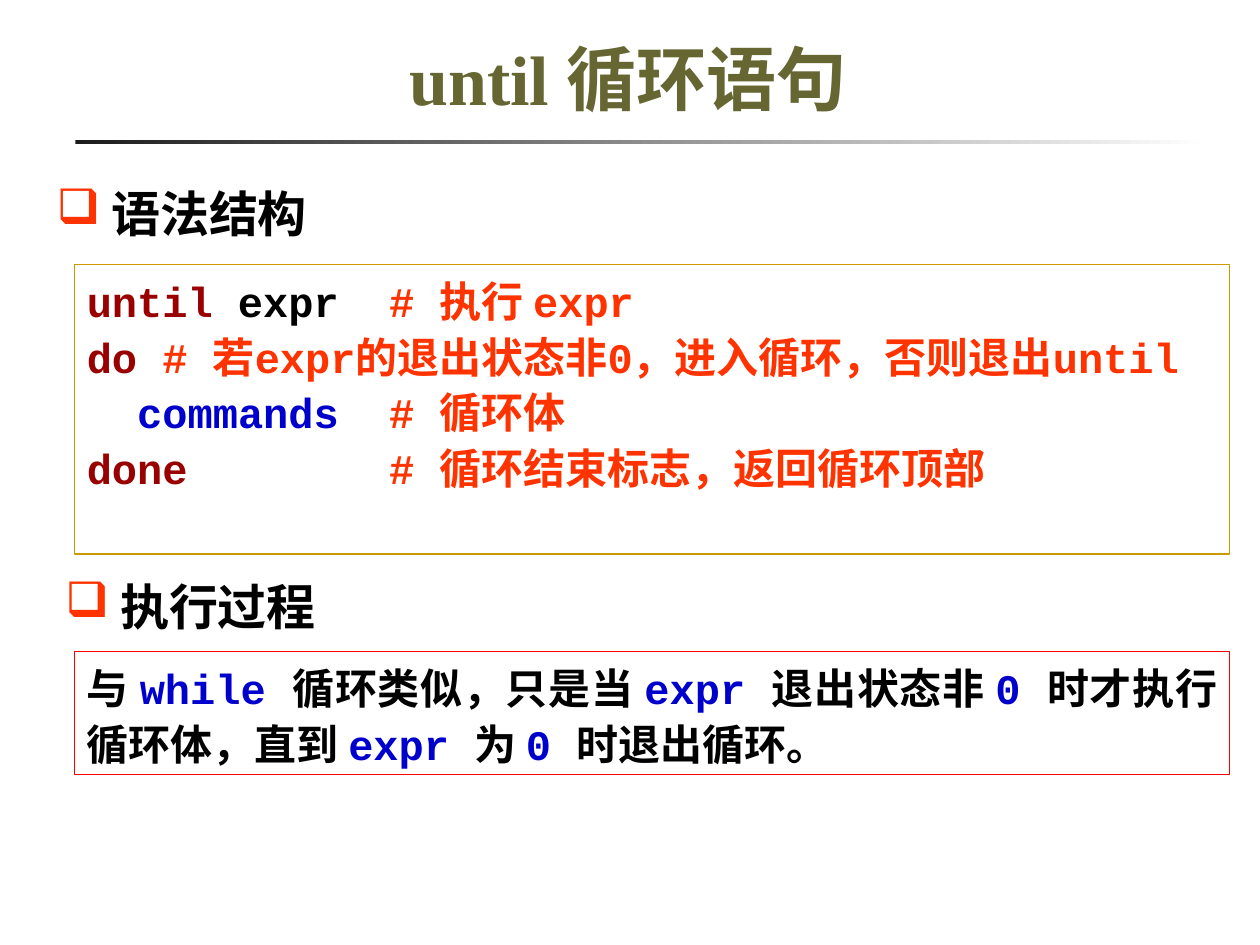
from pptx import Presentation
from pptx.dml.color import RGBColor
from pptx.enum.shapes import MSO_SHAPE
from pptx.enum.text import MSO_ANCHOR, PP_ALIGN
from pptx.oxml import parse_xml
from pptx.oxml.ns import nsdecls
from pptx.util import Cm, Pt

SERIF, MONO = "Times New Roman", "Courier New"
BLACK, RED, BLUE, MAROON, OLIVE = "000000", "FF3300", "0000CC", "990000", "666633"


def paint(code):
    return RGBColor.from_string(code)


def apply(target, values):
    for name, value in values.items():
        setattr(target, name, value)


class Deck:
    frame = {"word_wrap": True, "margin_left": Cm(0.25), "margin_right": Cm(0.25),
             "margin_top": Cm(0.13), "margin_bottom": Cm(0.13)}

    def __init__(self):
        self.show = Presentation()
        apply(self.show, {"slide_width": Cm(25.4), "slide_height": Cm(19.05)})
        self.slide = self.show.slides.add_slide(self.show.slide_layouts[6])

    def shape(self, place):
        box = self.slide.shapes.add_shape(MSO_SHAPE.RECTANGLE, *map(Cm, place))
        box.shadow.inherit = False
        return box

    def rule(self, place, start, end):
        bar = self.shape(place)
        bar.line.fill.background()
        bar.fill.gradient()
        bar.fill.gradient_angle = 0
        for stop, tint in zip(bar.fill.gradient_stops, (start, end)):
            stop.color.rgb = paint(tint)

    def letter(self, box, lines, size, space, align=PP_ALIGN.LEFT,
               anchor=MSO_ANCHOR.TOP, mark=None):
        text = box.text_frame
        apply(text, {**self.frame, "vertical_anchor": anchor})
        for index, line in enumerate(lines):
            para = text.add_paragraph() if index else text.paragraphs[0]
            apply(para, {"alignment": align, "line_spacing": space, "space_before": Pt(0)})
            if mark:
                self.bullet(para, mark)
            for words, tint, face in line:
                run = para.add_run()
                run.text = words
                apply(run.font, {"size": Pt(size), "bold": True, "name": face})
                run.font.color.rgb = paint(tint)

    def bullet(self, para, tint):
        props = para._p.get_or_add_pPr()
        for tag in (f'<a:buClr {nsdecls("a")}><a:srgbClr val="{tint}"/></a:buClr>',
                    f'<a:buChar {nsdecls("a")} char="❑"/>'):
            props.append(parse_xml(tag))

    def label(self, place, words, size, tint, **style):
        box = self.slide.shapes.add_textbox(*map(Cm, place))
        self.letter(box, [[(words, tint, SERIF)]], size, **style)

    def panel(self, place, edge, lines, align=PP_ALIGN.LEFT):
        box = self.shape(place)
        box.fill.background()
        box.line.color.rgb = paint(edge)
        box.line.width = Pt(0.75)
        self.letter(box, lines, 24, 1.1, align)


def main():
    deck = Deck()
    deck.rule((1.52, 2.82, 22.86, 0.08), "1C1C1C", "FFFFFF")
    for left, top, words in ((0.89, 3.33, " 语法结构"), (1.07, 11.25, " 执行过程")):
        deck.label((left, top, 23.29, 1.68), words, 28, BLACK, space=1.2, mark=RED)

    code = [
        [("until ", MAROON), ("expr", BLACK), ("  # 执行 expr", RED)],
        [("do ", MAROON), ("# 若expr的退出状态非0，进入循环，否则退出until", RED)],
        [("  commands  ", BLUE), ("# 循环体", RED)],
        [("done        ", MAROON), ("# 循环结束标志，返回循环顶部", RED)],
    ]
    deck.panel((1.5, 5.33, 23.29, 5.84), "CC9900",
               [[(words, tint, MONO) for words, tint in line] for line in code])

    parts = ("与 ", "while ", "循环类似，只是当 ", "expr ", "退出状态非 ", "0 ",
             "时才执行循环体，直到 ", "expr ", "为 ", "0 ", "时退出循环。")
    looks = ((BLACK, SERIF), (BLUE, MONO))
    deck.panel((1.5, 13.13, 23.29, 2.49), "FF0000",
               [[(words, *looks[i % 2]) for i, words in enumerate(parts)]],
               PP_ALIGN.JUSTIFY)

    deck.label((3.81, 0.43, 17.7, 2.11), "until 循环语句", 40, OLIVE, space=1.0,
               align=PP_ALIGN.CENTER, anchor=MSO_ANCHOR.BOTTOM)
    deck.show.save("out.pptx")


if __name__ == "__main__":
    main()
